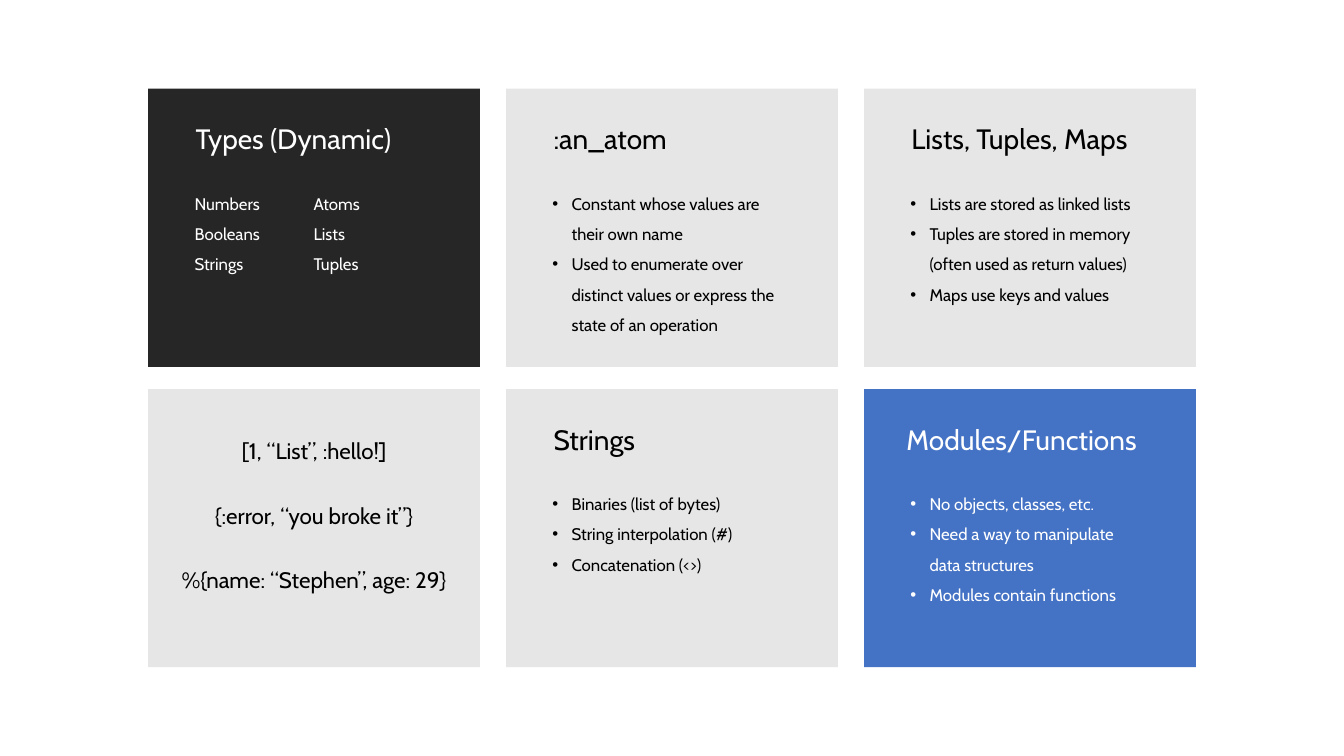
from dataclasses import dataclass
from pptx import Presentation, util as u
from pptx.dml.color import RGBColor
from pptx.enum import shapes, text
from pptx.oxml import parse_xml
from pptx.oxml.ns import nsdecls


@dataclass(frozen=True)
class Theme:
    """Colours, font and type sizes of the slide."""
    dark: str = "262626"
    pale: str = "E7E6E6"
    blue: str = "4472C4"
    black: str = "000000"
    white: str = "FFFFFF"
    font: str = "Cabin"
    head: int = 20
    code: int = 16
    body: int = 12


THEME = Theme()
LEFT, TOP = 1.47, 0.88
WIDE, HIGH = 3.29, 2.76
STEP_X, STEP_Y = 3.55, 2.98
INDENT = 0.19

CARDS = [
    ("Types (Dynamic)", THEME.dark, THEME.white, 0.87, 2,
     ["Numbers", "Booleans", "Strings", "Atoms", "Lists", "Tuples"]),
    (":an_atom", THEME.pale, THEME.black, 1.78, 1,
     ["Constant whose values are their own name",
      "Used to enumerate over distinct values or express the state of an operation"]),
    ("Lists, Tuples, Maps", THEME.pale, THEME.black, 1.17, 1,
     ["Lists are stored as linked lists",
      "Tuples are stored in memory (often used as return values)",
      "Maps use keys and values"]),
    None,
    ("Strings", THEME.pale, THEME.black, 1.17, 1,
     ["Binaries (list of bytes)", "String interpolation (#)", "Concatenation (<>)"]),
    ("Modules/Functions", THEME.blue, THEME.white, 1.17, 1,
     ["No objects, classes, etc.", "Need a way to manipulate data structures",
      "Modules contain functions"]),
]
SAMPLES = ["[1, “List”, :hello!]", "{:error, “you broke it”}",
           "%{name: “Stephen”, age: 29}"]


def add_panel(slide, x, y, fill):
    """Draw the plain rectangle behind a card."""
    panel = slide.shapes.add_shape(
        shapes.MSO_SHAPE.RECTANGLE, *map(u.Inches, (x, y, WIDE, HIGH)))
    panel.shadow.inherit = False
    panel.fill.solid()
    panel.fill.fore_color.rgb = RGBColor.from_string(fill)
    panel.line.fill.background()


def add_text(slide, box, lines, size, color, align=text.PP_ALIGN.LEFT, space=1.0):
    """Add a text box without margins and return its frame."""
    frame = slide.shapes.add_textbox(*map(u.Inches, box)).text_frame
    frame.word_wrap = True
    frame.auto_size = text.MSO_AUTO_SIZE.SHAPE_TO_FIT_TEXT
    frame.margin_left = frame.margin_right = frame.margin_top = frame.margin_bottom = 0
    for i, line in enumerate(lines):
        para = frame.paragraphs[0] if i == 0 else frame.add_paragraph()
        para.alignment = align
        para.line_spacing = space
        run = para.add_run()
        run.text = line
        run.font.name = THEME.font
        run.font.size = u.Pt(size)
        run.font.color.rgb = RGBColor.from_string(color)
    return frame


def add_bullets(frame):
    """Give each paragraph a hanging bullet."""
    for para in frame.paragraphs:
        props = para._p.get_or_add_pPr()
        props.set("marL", str(u.Inches(INDENT)))
        props.set("indent", str(-u.Inches(INDENT)))
        props.append(parse_xml(f'<a:buFont {nsdecls("a")} typeface="Arial"/>'))
        props.append(parse_xml(f'<a:buChar {nsdecls("a")} char="•"/>'))


def add_card(slide, x, y, title, fill, color, high, cols, lines):
    """Add a panel with a title and a list or columns."""
    add_panel(slide, x, y, fill)
    wide = 2.44 if title == "Modules/Functions" else 2.36
    shift = 0.42 if title == "Modules/Functions" else 0.47
    add_text(slide, (x + shift, y + 0.33, wide, 0.34), [title], THEME.head, color)
    frame = add_text(slide, (x + 0.46, y + 0.94, 2.36, high), lines,
                     THEME.body, color, space=1.5)
    if cols > 1:
        frame._txBody.bodyPr.set("numCol", str(cols))
    else:
        add_bullets(frame)


def add_samples(slide, x, y):
    """Add the panel of centred code samples."""
    add_panel(slide, x, y, THEME.pale)
    wide = 2.88
    for i, line in enumerate(SAMPLES):
        box = (x + (WIDE - wide) / 2, y + 0.48 + i * 0.64, wide, 0.27)
        add_text(slide, box, [line], THEME.code, THEME.black, text.PP_ALIGN.CENTER)


def main():
    """Build the slide and save it."""
    deck = Presentation()
    deck.slide_width, deck.slide_height = u.Inches(13.33), u.Inches(7.5)
    slide = deck.slides.add_slide(deck.slide_layouts[6])
    for i, card in enumerate(CARDS):
        row, col = divmod(i, 3)
        x, y = LEFT + col * STEP_X, TOP + row * STEP_Y
        if card:
            add_card(slide, x, y, *card)
        else:
            add_samples(slide, x, y)
    deck.save("out.pptx")


if __name__ == "__main__":
    main()
